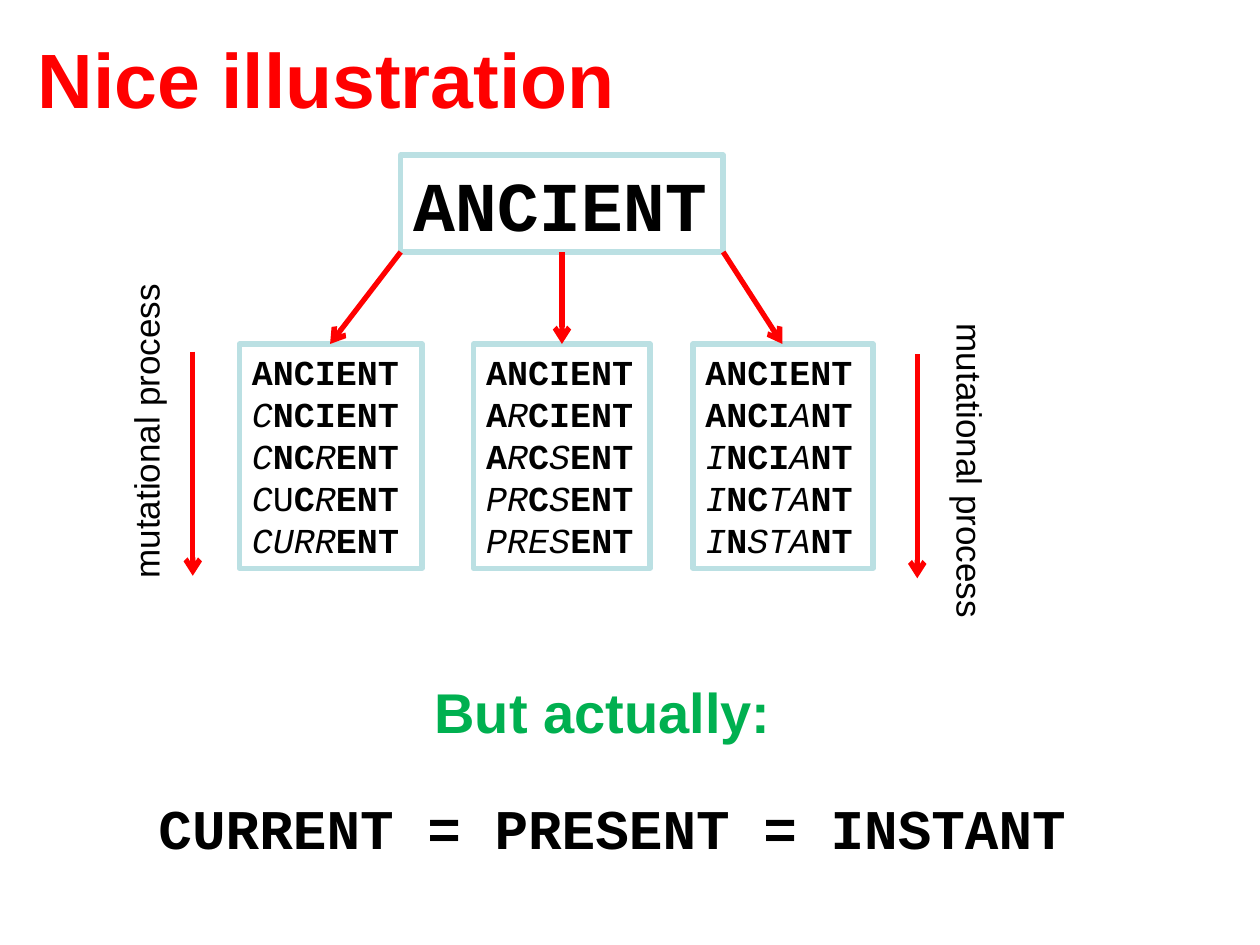
from itertools import groupby

from lxml import etree
from pptx import Presentation
from pptx.dml.color import RGBColor
from pptx.enum.shapes import MSO_CONNECTOR, MSO_SHAPE
from pptx.enum.text import MSO_ANCHOR, MSO_AUTO_SIZE, PP_ALIGN
from pptx.oxml.ns import qn
from pptx.util import Pt

PX = 9144
STRAIGHT = MSO_CONNECTOR.STRAIGHT
RECTANGLE = MSO_SHAPE.RECTANGLE
TOP, MIDDLE = MSO_ANCHOR.TOP, MSO_ANCHOR.MIDDLE
GROW = MSO_AUTO_SIZE.SHAPE_TO_FIT_TEXT
LEFT = PP_ALIGN.LEFT
COLORS = {"black": "000000", "red": "FF0000", "green": "00B050", "frame": "BBE0E3"}
SANS, MONO = "Arial", "Courier New"
BOLD, ITALIC, PLAIN = (True, False), (False, True), (False, False)
ANCESTOR = "ANCIENT"
LINEAGES = [
    ((190, 273, 145, 178), ["ANCIENT", "CNCIENT", "CNCRENT", "CUCRENT", "CURRENT"]),
    ((376, 273, 140, 178), ["ANCIENT", "ARCIENT", "ARCSENT", "PRCSENT", "PRESENT"]),
    ((550, 273, 143, 178), ["ANCIENT", "ANCIANT", "INCIANT", "INCTANT", "INSTANT"]),
]
UPRIGHT = ("CUCRENT", 1)


def color(name):
    return RGBColor.from_string(COLORS[name])


def add_text(shape, lines, size, font=SANS, ink="black", wrap=True, anchor=TOP, turn=None):
    frame = shape.text_frame
    frame.word_wrap = wrap
    frame.auto_size = GROW
    frame.vertical_anchor = anchor
    if turn:
        frame._txBody.bodyPr.set("vert", turn)
    for index, runs in enumerate(lines):
        para = frame.add_paragraph() if index else frame.paragraphs[0]
        para.alignment = LEFT
        for text, (bold, italic) in runs:
            span = para.add_run()
            span.text = text
            span.font.name = font
            span.font.size = Pt(size)
            span.font.bold = bold
            span.font.italic = italic
            span.font.color.rgb = color(ink)


def add_label(page, box, text, size, style=BOLD, **options):
    shape = page.shapes.add_textbox(*(PX * side for side in box))
    add_text(shape, [[(text, style)]], size, **options)


def add_frame(page, box, lines, size, **options):
    shape = page.shapes.add_shape(RECTANGLE, *(PX * side for side in box))
    shape.shadow.inherit = False
    shape.fill.background()
    shape.line.color.rgb = color("frame")
    shape.line.width = Pt(3)
    add_text(shape, lines, size, font=MONO, **options)


def add_arrow(page, start, end):
    arrow = page.shapes.add_connector(STRAIGHT, *(PX * side for side in start + end))
    arrow.line.color.rgb = color("red")
    arrow.line.width = Pt(3)
    etree.SubElement(arrow.line._get_or_add_ln(), qn("a:tailEnd"), type="arrow")
    etree.SubElement(arrow._element.spPr, qn("a:effectLst"))


def mutation_runs(word):
    def style(index):
        if (word, index) == UPRIGHT:
            return PLAIN
        return BOLD if word[index] == ANCESTOR[index] else ITALIC

    return [
        ("".join(word[index] for index in group), key)
        for key, group in groupby(range(len(word)), style)
    ]


def add_tree(page, box):
    left, top, width, height = box
    add_frame(page, box, [[(ANCESTOR, BOLD)]], 40, wrap=False)
    for step, (lineage_box, words) in enumerate(LINEAGES):
        add_frame(page, lineage_box, [mutation_runs(word) for word in words], 20)
        start = (left + step * width // 2, top + height)
        add_arrow(page, start, (lineage_box[0] + lineage_box[2] // 2, lineage_box[1]))


def add_process(page, box, arrow_gap, arrow_drop, turn):
    left, top, width, height = box
    add_label(page, box, "mutational process", 20, style=PLAIN, wrap=False, turn=turn)
    x, y = left + arrow_gap, top + arrow_drop
    add_arrow(page, (x, y), (x, y + 178))


def add_conclusion(page, box):
    left, top, width, height = box
    add_label(page, (left + 219, top, 323, 64), "But actually:", 32, ink="green")
    add_label(page, (left, top + 92, width, 64), "CURRENT = PRESENT = INSTANT", 32, font=MONO)


def main():
    deck = Presentation()
    deck.slide_width, deck.slide_height = 1000 * PX, 750 * PX
    page = deck.slides.add_slide(deck.slide_layouts[6])
    add_label(page, (20, 0, 907, 124), "Nice illustration", 44, ink="red", anchor=MIDDLE)
    add_tree(page, (318, 123, 256, 77))
    add_process(page, (94, 241, 54, 228), 59, 38, "vert270")
    add_process(page, (738, 247, 54, 228), -10, 34, "vert")
    add_conclusion(page, (116, 533, 800, 156))
    deck.save("out.pptx")


if __name__ == "__main__":
    main()
